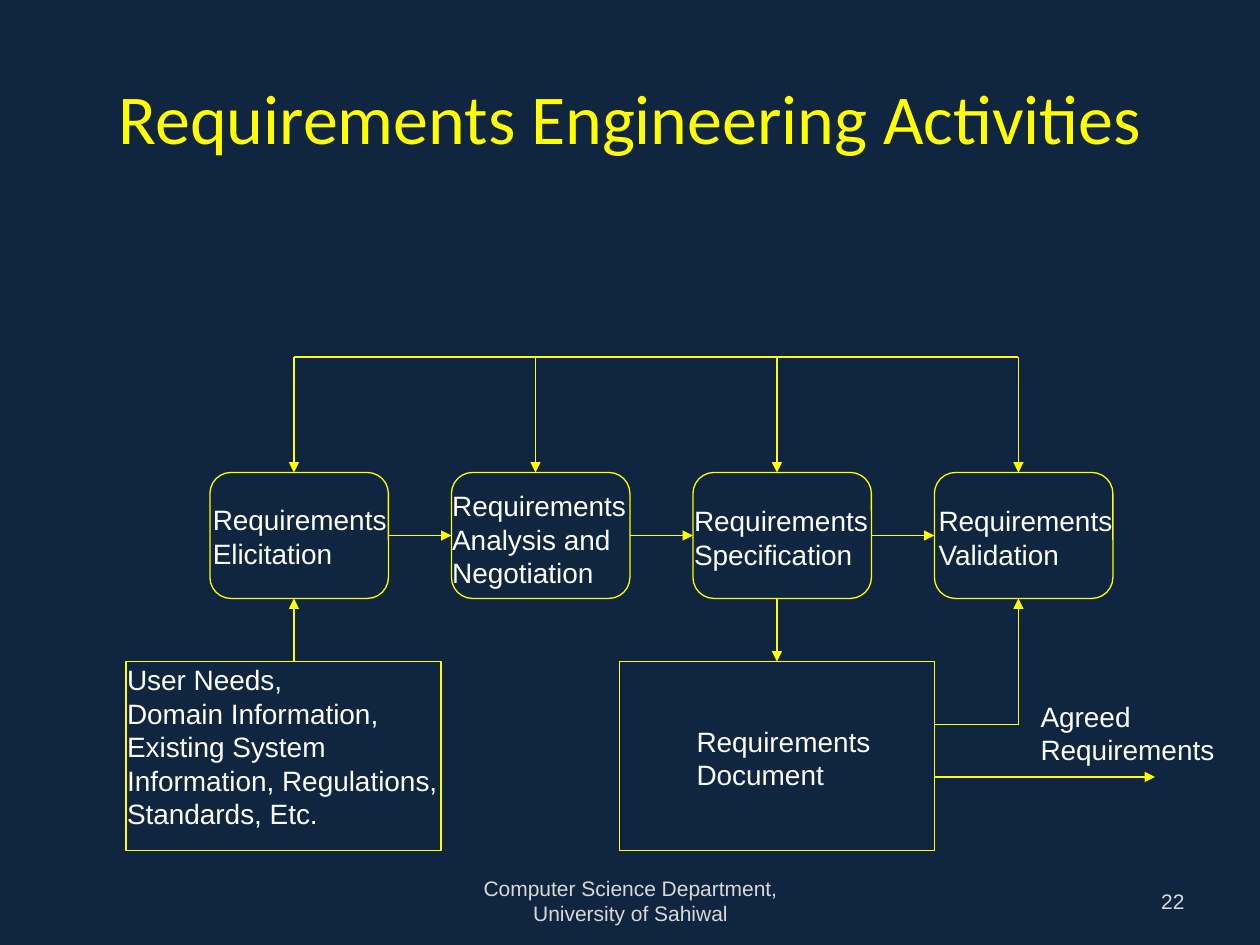
from lxml import etree
from pptx import Presentation
from pptx.dml.color import RGBColor
from pptx.enum.shapes import MSO_CONNECTOR, MSO_SHAPE
from pptx.enum.text import MSO_ANCHOR, MSO_AUTO_SIZE, PP_ALIGN
from pptx.oxml.ns import qn
from pptx.util import Inches, Pt

NAVY = RGBColor(0x10, 0x25, 0x3F)
YELLOW = RGBColor(0xFF, 0xFF, 0x00)
WHITE = RGBColor(0xFF, 0xFF, 0xFF)
GREY = RGBColor(0xD9, 0xD9, 0xD9)
RECT, ROUND = MSO_SHAPE.RECTANGLE, MSO_SHAPE.ROUNDED_RECTANGLE
STRAIGHT = MSO_CONNECTOR.STRAIGHT
LEFT, CENTER, RIGHT = PP_ALIGN.LEFT, PP_ALIGN.CENTER, PP_ALIGN.RIGHT
TOP_SITE, LEFT_SITE, RIGHT_SITE = 0, 1, 3

# Content
TITLE = "Requirements Engineering Activities"
FOOTER = "Computer Science Department, University of Sahiwal"
NUMBER = "22"
ACTIVITIES = [  # lines, label left, label top
    (["Requirements", "Elicitation"], 1.59, 3.94),
    (["Requirements", "Analysis and", "Negotiation"], 3.49, 3.83),
    (["Requirements", "Specification"], 5.41, 3.95),
    (["Requirements", "Validation"], 7.35, 3.95),
]
INPUTS = ["User Needs,", "Domain Information,", "Existing System",
          "Information, Regulations,", "Standards, Etc."]
DOCUMENT = ["Requirements", "Document"]
RESULT = ["Agreed", "Requirements"]

# Grid, in twelfths of an inch
U = 1 / 12
COL_X, PITCH, BOX_W, BOX_H = 20 * U, 23 * U, 17 * U, 1
BUS_Y, ROW_Y, LOWER_Y = 34 * U, 3.75, 5.25
LOWER_W, LOWER_H = 2.5, 1.5
box_x = [COL_X + i * PITCH for i in range(len(ACTIVITIES))]
stem_x = [x + 8 * U for x in box_x]
doc_x = stem_x[2] - LOWER_W / 2
doc_right = doc_x + LOWER_W

prs = Presentation()
prs.slide_width, prs.slide_height = Inches(10), Inches(7.5)
s = prs.slides.add_slide(prs.slide_layouts[5])
s.background.fill.solid()
s.background.fill.fore_color.rgb = NAVY


def write(tf, lines, size, color, font="Arial", align=LEFT):
    for i, line in enumerate(lines):
        p = tf.paragraphs[0] if i == 0 else tf.add_paragraph()
        p.alignment = align
        r = p.add_run()
        r.text = line
        r.font.size, r.font.name = Pt(size), font
        r.font.color.rgb = color


def add_label(lines, x, y, w=1.65):
    h = 0.1 + 0.267 * len(lines)
    tf = s.shapes.add_textbox(*map(Inches, (x, y, w, h))).text_frame
    tf.word_wrap = True
    tf.auto_size = MSO_AUTO_SIZE.SHAPE_TO_FIT_TEXT
    write(tf, lines, 16, WHITE)


def add_footer(text, x, w, align):
    tf = s.shapes.add_textbox(*map(Inches, (x, 6.95, w, 0.4))).text_frame
    tf.word_wrap = True
    tf.vertical_anchor = MSO_ANCHOR.MIDDLE
    write(tf, [text], 12, GREY, align=align)


def add_box(kind, x, y, w, h):
    sp = s.shapes.add_shape(kind, *map(Inches, (x, y, w, h)))
    sp.shadow.inherit = False
    sp.fill.background()
    sp.line.color.rgb = YELLOW
    sp.line.width = Pt(0.75)
    return sp


def add_line(x1, y1, x2, y2, arrow=True, width=0.75):
    c = s.shapes.add_connector(STRAIGHT, *map(Inches, (x1, y1, x2, y2)))
    c.line.color.rgb = YELLOW
    c.line.width = Pt(width)
    if arrow:
        etree.SubElement(c.line._get_or_add_ln(), qn("a:tailEnd"), type="triangle")
    etree.SubElement(c._element.spPr, qn("a:effectLst"))
    return c


# Title
title = s.shapes.title
title.left, title.top, title.width, title.height = map(Inches, (0.5, 0.3, 9, 1.25))
title.text_frame.vertical_anchor = MSO_ANCHOR.MIDDLE
write(title.text_frame, [TITLE], 40, YELLOW, "Calibri", CENTER)

# Activities with the feedback line above them
add_line(stem_x[0], BUS_Y, stem_x[-1], BUS_Y, arrow=False)
boxes = []
for x, stem, (lines, label_x, label_y) in zip(box_x, stem_x, ACTIVITIES):
    box = add_box(ROUND, x, ROW_Y, BOX_W, BOX_H)
    box.adjustments[0] = 0.167
    boxes.append(box)
    add_line(stem, BUS_Y, stem, ROW_Y)
    add_label(lines, label_x, label_y)

# Flow from each activity to the next
mid_y = ROW_Y + BOX_H / 2
for i in range(len(boxes) - 1):
    c = add_line(box_x[i] + BOX_W, mid_y, box_x[i + 1], mid_y, width=1)
    c.begin_connect(boxes[i], RIGHT_SITE)
    c.end_connect(boxes[i + 1], LEFT_SITE)

# Inputs to elicitation
add_box(RECT, 1, LOWER_Y, LOWER_W, LOWER_H)
add_label(INPUTS, 0.91, 5.21, 2.75)
add_line(stem_x[0], LOWER_Y, stem_x[0], ROW_Y + BOX_H)

# Requirements document
doc = add_box(RECT, doc_x, LOWER_Y, LOWER_W, LOWER_H)
add_label(DOCUMENT, 5.43, 5.7)
add_line(stem_x[2], ROW_Y + BOX_H, stem_x[2], LOWER_Y).end_connect(doc, TOP_SITE)

# Document to validation, and the agreed result
add_line(doc_right, 5.75, stem_x[3], 5.75, arrow=False)
add_line(stem_x[3], 5.75, stem_x[3], ROW_Y + BOX_H)
add_line(doc_right, 74 * U, 110 * U, 74 * U)
add_label(RESULT, 8.16, 5.5)

# Footer
add_footer(FOOTER, 3.42, 3.17, CENTER)
add_footer(NUMBER, 7.17, 2.33, RIGHT)

prs.save("out.pptx")
